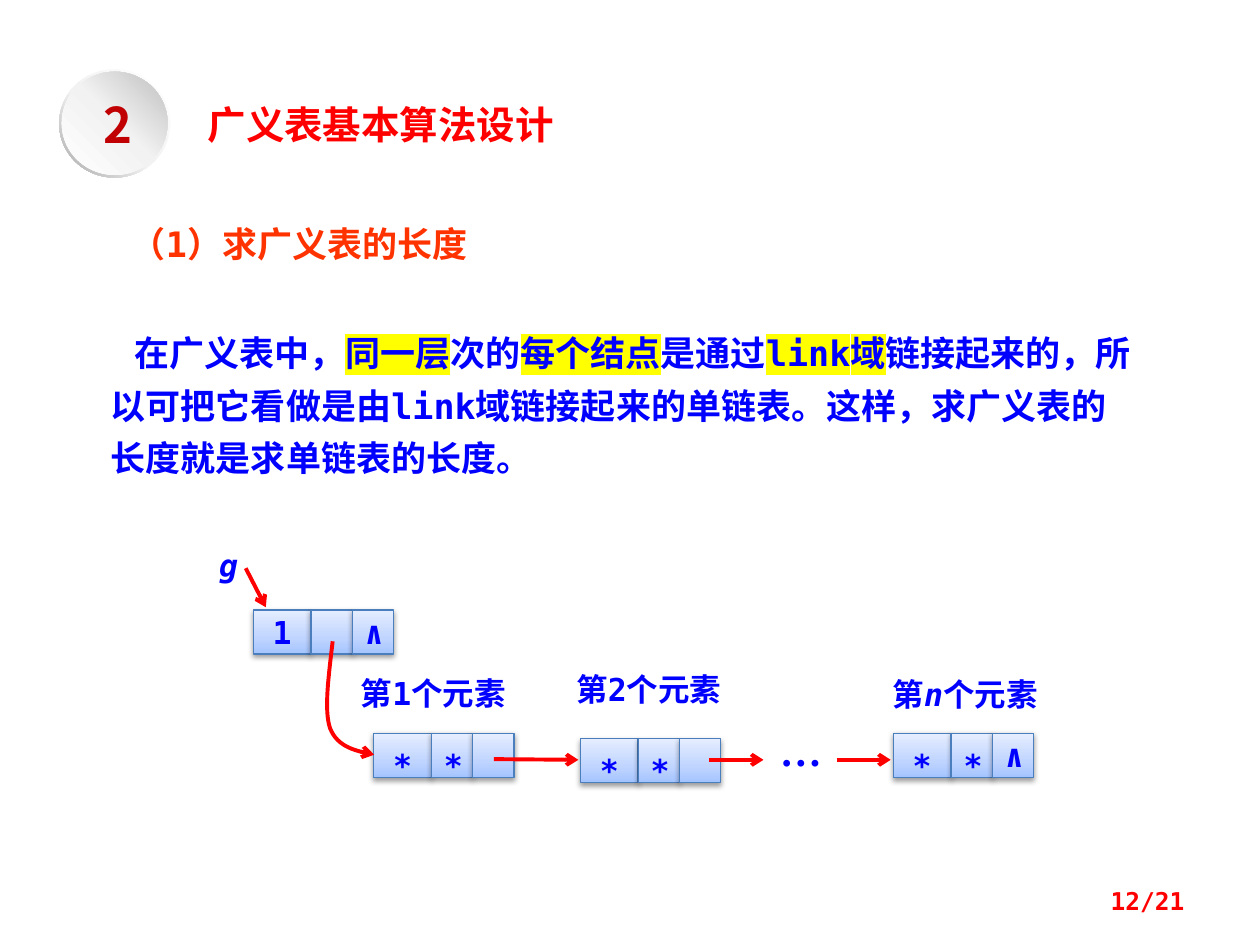
from dataclasses import dataclass

from lxml import etree
from pptx import Presentation
from pptx.dml.color import RGBColor
from pptx.enum.shapes import MSO_CONNECTOR, MSO_SHAPE
from pptx.enum.text import MSO_ANCHOR, MSO_AUTO_SIZE, PP_ALIGN
from pptx.oxml import parse_xml
from pptx.oxml.ns import nsdecls, qn
from pptx.util import Pt

LEFT, CENTER, RIGHT = PP_ALIGN.LEFT, PP_ALIGN.CENTER, PP_ALIGN.RIGHT
MIDDLE = MSO_ANCHOR.MIDDLE
RECT, ELLIPSE, DONUT = MSO_SHAPE.RECTANGLE, MSO_SHAPE.OVAL, MSO_SHAPE.DONUT
MONO, CJK, SERIF = "DejaVu Sans Mono", "Noto Sans CJK SC", "Times New Roman"
BLUE, RED, ORANGE, DARK_RED = "0000FF", "FF0000", "FF3300", "C00002"
YELLOW, CELL_LINE = "FFFF00", "4B7EBC"

CELL_STOPS = [(0, "A4C4FF"), (35, "BFD4FF"), (100, "E6EEFF")]
RIM_STOPS = [(0, "FFFFFF"), (55, "F2F2F2"), (100, "A6A6A6")]
FACE_STOPS = [(0, "FFFFFF"), (51, "F2F2F2"), (100, "BFBFBF")]
CELL_WIDTHS = (33, 23.6, 23.6)
CELL_HEIGHT = 25.2
STAR, NIL = "*", "∧"


@dataclass
class Span:
    text: str
    highlight: bool = False
    italic: bool = False


@dataclass
class Label:
    box: tuple[float, float, float, float]
    spans: list[Span]
    size: float = 18
    color: str = BLUE
    font: str = MONO
    align: PP_ALIGN = LEFT
    indent: float = 0
    line_spacing: float | None = None
    inset: bool = True


@dataclass
class Node:
    x: float
    y: float
    texts: tuple[str, str, str]


def rgb(value: str) -> RGBColor:
    return RGBColor.from_string(value)


def style_paragraph(p, size: float, color: str, font: str, align) -> None:
    p.alignment = align
    f = p.font
    f.size, f.bold, f.name = Pt(size), True, font
    f.color.rgb = rgb(color)
    latin = p._p.pPr.find(qn("a:defRPr")).find(qn("a:latin"))
    latin.addnext(parse_xml(f'<a:ea {nsdecls("a")} typeface="{font}"/>'))


def add_span(p, span: Span) -> None:
    r = p.add_run()
    r.text = span.text
    if span.italic:
        r.font.italic = True
    if span.highlight:
        r._r.get_or_add_rPr().append(parse_xml(
            f'<a:highlight {nsdecls("a")}><a:srgbClr val="{YELLOW}"/></a:highlight>'))


def add_label(slide, label: Label):
    s = slide.shapes.add_textbox(*map(Pt, label.box))
    tf = s.text_frame
    tf.word_wrap = True
    tf.auto_size = MSO_AUTO_SIZE.SHAPE_TO_FIT_TEXT
    if not label.inset:
        tf.margin_left = tf.margin_right = tf.margin_top = tf.margin_bottom = 0
    p = tf.paragraphs[0]
    style_paragraph(p, label.size, label.color, label.font, label.align)
    if label.line_spacing:
        p.line_spacing = Pt(label.line_spacing)
    if label.indent:
        p._p.pPr.set("indent", str(Pt(label.indent)))
    for span in label.spans:
        add_span(p, span)
    return s


def set_gradient(s, stops: list[tuple[int, str]], angle: int) -> None:
    s.fill.background()
    sp_pr = s.element.spPr
    gs = "".join(f'<a:gs pos="{pos * 1000}"><a:srgbClr val="{color}"/></a:gs>'
                 for pos, color in stops)
    sp_pr.replace(sp_pr.find(qn("a:noFill")), parse_xml(
        f'<a:gradFill {nsdecls("a")} rotWithShape="1"><a:gsLst>{gs}</a:gsLst>'
        f'<a:lin ang="{angle * 60000}" scaled="0"/></a:gradFill>'))


def add_gradient_shape(slide, kind, box, stops, angle: int):
    s = slide.shapes.add_shape(kind, *map(Pt, box))
    s.shadow.inherit = False
    set_gradient(s, stops, angle)
    s.line.fill.background()
    return s


def add_cell(slide, box, text: str) -> None:
    s = add_gradient_shape(slide, RECT, box, CELL_STOPS, 270)
    s.line.color.rgb = rgb(CELL_LINE)
    s.line.width = Pt(0.75)
    s.element.spPr.find(qn("a:effectLst")).append(parse_xml(
        f'<a:outerShdw {nsdecls("a")} blurRad="{Pt(3.1)}" dist="{Pt(1.6)}" dir="5400000"'
        ' rotWithShape="0"><a:srgbClr val="000000"><a:alpha val="38000"/></a:srgbClr>'
        '</a:outerShdw>'))
    if text:
        tf = s.text_frame
        tf.vertical_anchor = MIDDLE
        p = tf.paragraphs[0]
        style_paragraph(p, 18, BLUE, MONO, CENTER)
        if text == STAR:
            p.line_spacing = 1.5
        add_span(p, Span(text))


def add_node(slide, node: Node) -> None:
    x = node.x
    for width, text in zip(CELL_WIDTHS, node.texts):
        add_cell(slide, (x, node.y, width, CELL_HEIGHT), text)
        x += width


def style_arrow(s) -> None:
    s.line.color.rgb = rgb(RED)
    s.line.width = Pt(2.25)
    etree.SubElement(s.line._get_or_add_ln(), qn("a:tailEnd"), type="arrow")


def add_arrow(slide, *ends: float) -> None:
    s = slide.shapes.add_connector(MSO_CONNECTOR.STRAIGHT, *map(Pt, ends))
    style_arrow(s)
    etree.SubElement(s.element.spPr, qn("a:effectLst"))


def bezier(controls, steps: int = 16) -> list[tuple[int, int]]:
    """Points along a cubic curve, without its start."""
    def at(t: float, a: float, b: float, c: float, d: float) -> int:
        u = 1 - t
        return Pt(u**3 * a + 3 * u * u * t * b + 3 * u * t * t * c + t**3 * d)
    xs, ys = zip(*controls)
    return [(at(i / steps, *xs), at(i / steps, *ys)) for i in range(1, steps + 1)]


def add_curved_arrow(slide, points) -> None:
    """Arrow through cubic segments, each three points after the first."""
    builder = slide.shapes.build_freeform(*map(Pt, points[0]))
    for i in range(0, len(points) - 1, 3):
        builder.add_line_segments(bezier(points[i:i + 4]), close=False)
    s = builder.convert_to_shape()
    s.shadow.inherit = False
    s.fill.background()
    style_arrow(s)


LABELS = [
    Label((56.2, 180, 602, 98), [
        Span("在广义表中，"), Span("同一层", True), Span("次的"), Span("每个结点", True),
        Span("是通过"), Span("link域", True),
        Span("链接起来的，所以可把它看做是由link域链接起来的单链表。"
             "这样，求广义表的长度就是求单链表的长度。")],
        size=20, indent=13.7, line_spacing=30),
    Label((106.6, 54, 225.4, 34), [Span("广义表基本算法设计")], 22, RED, CJK, indent=5),
    Label((67.7, 123.8, 225.4, 31.5), [Span("（1）求广义表的长度")], 20, ORANGE),
    Label((191.5, 381.6, 112.3, 29), [Span("第1个元素")], align=CENTER),
    Label((314.6, 379.4, 112.3, 29), [Span("第2个元素")], align=CENTER),
    Label((495.4, 382.3, 112.3, 29),
          [Span("第"), Span("n", italic=True), Span("个元素")], align=CENTER),
    Label((118.1, 308.2, 33.8, 29), [Span("g", italic=True)]),
    Label((438.5, 410.4, 28.1, 36), [Span("…")], 24, font=SERIF),
]
BADGE = Label((51.1, 54, 33.1, 34), [Span("2")], 28, DARK_RED, CJK, CENTER, inset=False)
PAGE = Label((516.2, 500.4, 167.8, 28.8), [Span("12/21")], 14, RED, align=RIGHT)
NODES = [
    Node(144.7, 348.5, ("1", "", NIL)),
    Node(213.6, 419, (STAR, STAR, "")),
    Node(510.5, 419, (STAR, STAR, NIL)),
    Node(331.7, 421.9, (STAR, STAR, "")),
]
ARROWS = [(140.4, 324.7, 151.9, 347), (478.1, 434.2, 509, 434.2),
          (282.2, 433.8, 330.5, 434.2), (405.4, 434.2, 436.3, 434.2)]
SUBLIST_CURVE = [(190.1, 366.5), (187.9, 385.9), (185, 405.4), (188.6, 416.2),
                 (193, 427), (203, 429.1), (213.8, 431.3)]


def main() -> None:
    prs = Presentation()
    prs.slide_width, prs.slide_height = Pt(720), Pt(540)
    slide = prs.slides.add_slide(prs.slide_layouts[6])
    for label in LABELS:
        add_label(slide, label)
    rim = add_gradient_shape(slide, DONUT, (33.8, 39.6, 63.4, 61.9), RIM_STOPS, 135)
    rim.adjustments[0] = 0.05
    add_gradient_shape(slide, ELLIPSE, (35.3, 41, 60.5, 59), FACE_STOPS, 315)
    add_label(slide, BADGE)
    for node in NODES:
        add_node(slide, node)
    add_curved_arrow(slide, SUBLIST_CURVE)
    for ends in ARROWS:
        add_arrow(slide, *ends)
    page = add_label(slide, PAGE)
    page.text_frame.auto_size = MSO_AUTO_SIZE.NONE
    page.text_frame.vertical_anchor = MIDDLE
    prs.save("out.pptx")


if __name__ == "__main__":
    main()
